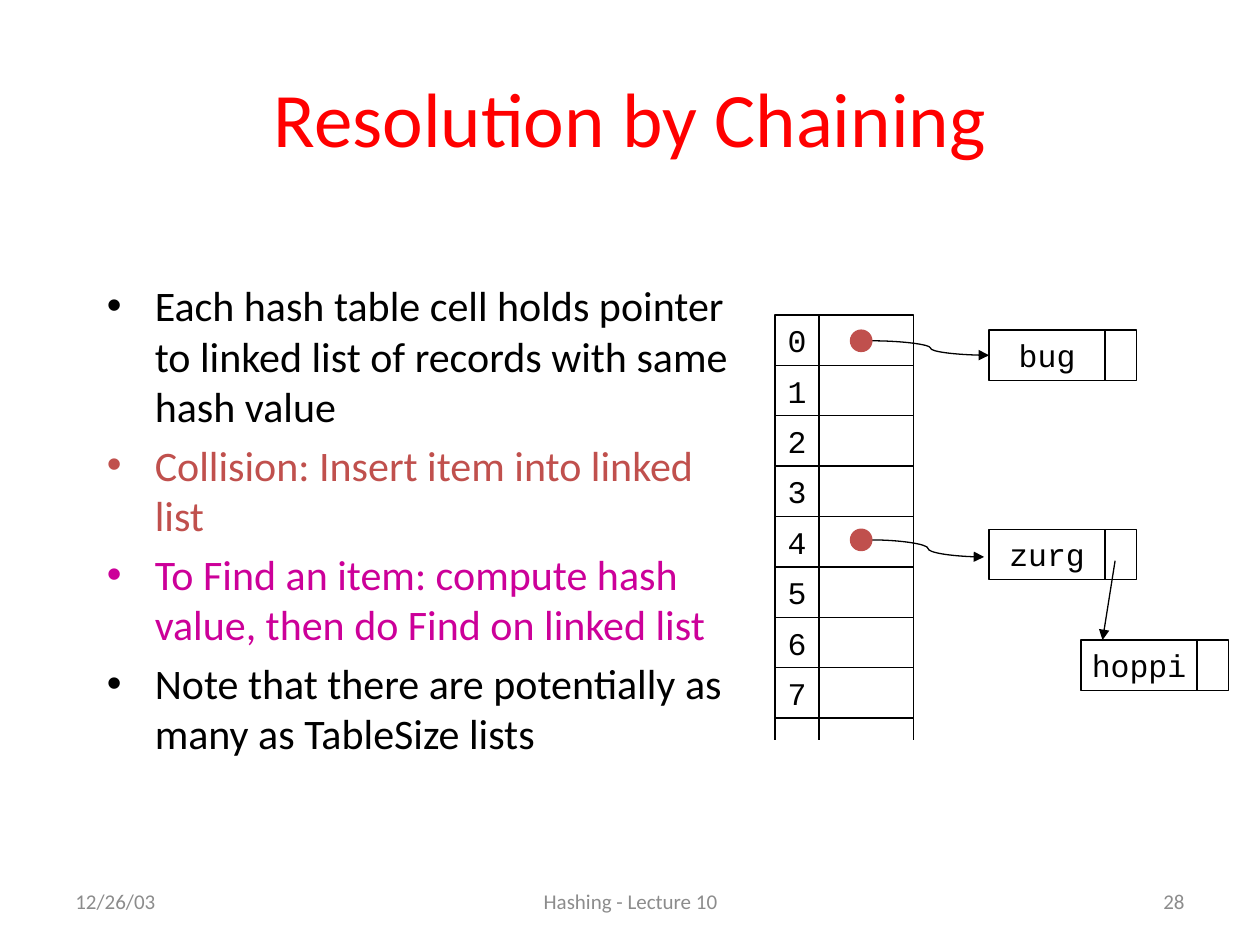
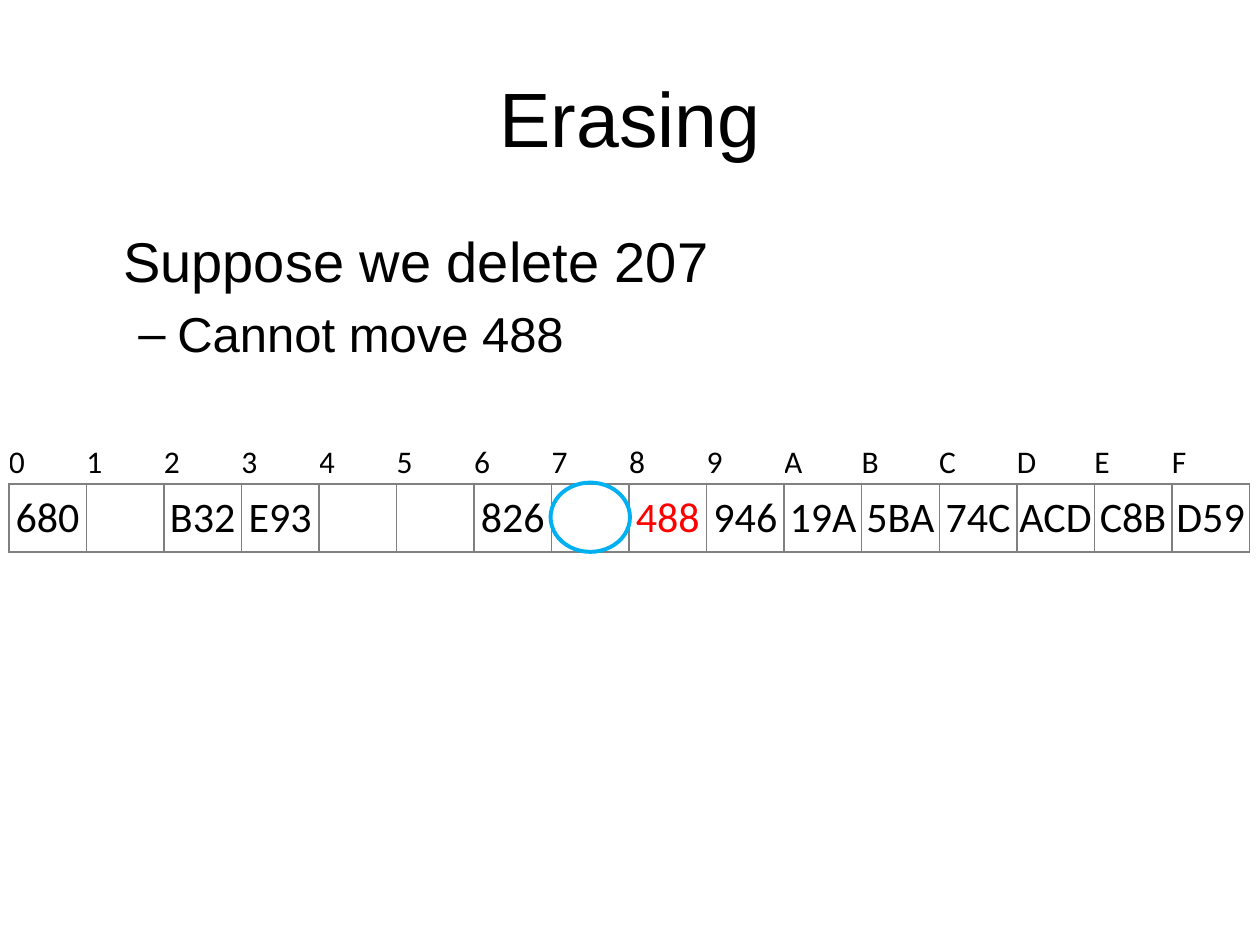
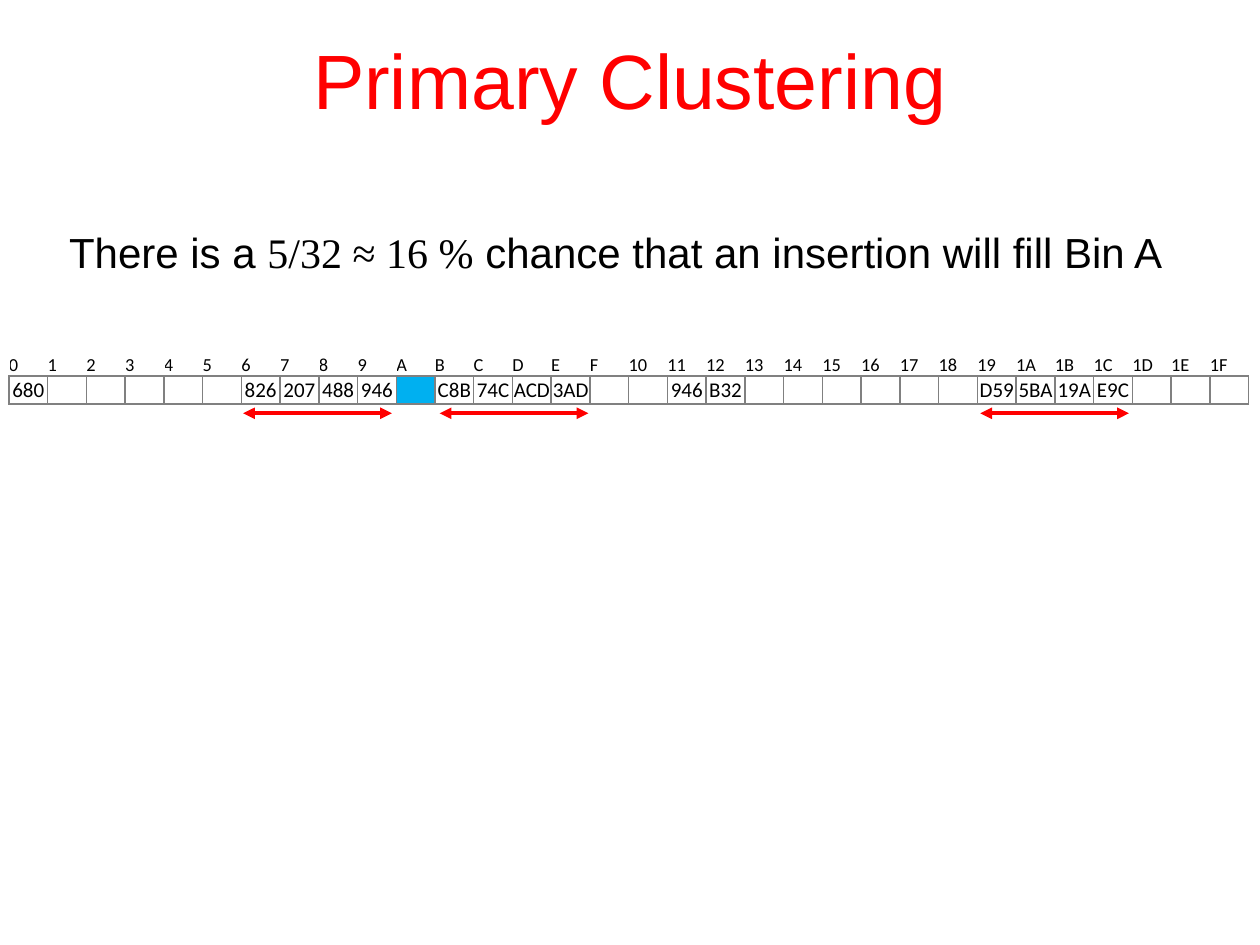
from lxml.etree import SubElement
from pptx import Presentation
from pptx.dml.color import RGBColor
from pptx.enum.shapes import MSO_CONNECTOR, MSO_SHAPE
from pptx.enum.text import MSO_ANCHOR, MSO_AUTO_SIZE, PP_ALIGN
from pptx.oxml.ns import qn
from pptx.util import Inches, Pt

COLORS = {
    "black": "000000",
    "red": "FF0000",
    "brick": "C0504D",
    "magenta": "CC0099",
    "cyan": "00B0F0",
    "border": "808080",
    "footer": "8C8C8C",
}
ALIGN = {"left": PP_ALIGN.LEFT, "center": PP_ALIGN.CENTER, "right": PP_ALIGN.RIGHT}
TITLE_ONLY = 5


def color(name):
    return RGBColor.from_string(COLORS[name])


def write(para, text, size=18, font="Calibri", ink="black", align="left",
          before=0, left=0, hanging=0, bullet=None):
    """Fill a paragraph; text is a string or a list of (words, font) spans."""
    props = para._p.get_or_add_pPr()
    props.set("marL", str(Inches(left)))
    props.set("indent", str(-Inches(hanging)))
    if bullet:
        SubElement(props, qn("a:buFont")).set("typeface", "Arial")
        SubElement(props, qn("a:buChar")).set("char", bullet)
    else:
        SubElement(props, qn("a:buNone"))
    para.alignment = ALIGN[align]
    para.space_before = Pt(before)
    spans = [(text, font)] if isinstance(text, str) else text
    for words, face in spans:
        if not words:  # keeps an empty table cell as low as its neighbours
            SubElement(para._p, qn("a:endParaRPr")).set("sz", str(int(size * 100)))
            continue
        span = para.add_run()
        span.text = words
        span.font.size = Pt(size)
        span.font.name = face
        span.font.color.rgb = color(ink)


class SlideBuilder:
    """Holds the shared style and the slide being built."""

    def __init__(self, deck):
        self.deck = deck
        self.page = None

    def new_page(self, title, top=0.3, **style):
        layout = self.deck.slide_layouts[TITLE_ONLY]
        self.page = self.deck.slides.add_slide(layout)
        box = self.page.shapes.title
        box.left, box.top = Inches(0.5), Inches(top)
        box.width, box.height = Inches(9), Inches(1.25)
        box.text_frame.auto_size = MSO_AUTO_SIZE.NONE
        box.text_frame.vertical_anchor = MSO_ANCHOR.MIDDLE
        write(box.text_frame.paragraphs[0], title, size=44, align="center", **style)

    def text(self, left, top, width, height, paragraphs, anchor=MSO_ANCHOR.TOP):
        """Each paragraph is a (text, format) pair."""
        box = self.page.shapes.add_textbox(
            Inches(left), Inches(top), Inches(width), Inches(height))
        frame = box.text_frame
        frame.word_wrap = True
        frame.vertical_anchor = anchor
        for index, (words, style) in enumerate(paragraphs):
            para = frame.add_paragraph() if index else frame.paragraphs[0]
            write(para, words, **style)

    def footer(self, date, caption, number):
        for left, width, words, align in [(0.5, 2.33, date, "left"),
                                          (3.42, 3.17, caption, "center"),
                                          (7.17, 2.33, number, "right")]:
            style = dict(size=12, ink="footer", align=align)
            self.text(left, 6.95, width, 0.4, [(words, style)], MSO_ANCHOR.MIDDLE)

    def shape(self, kind, left, top, width, height, label="",
              fill=None, line="black", weight=0.75):
        shape = self.page.shapes.add_shape(
            kind, Inches(left), Inches(top), Inches(width), Inches(height))
        shape.shadow.inherit = False
        if fill:
            shape.fill.solid()
            shape.fill.fore_color.rgb = color(fill)
        else:
            shape.fill.background()
        shape.line.color.rgb = color(line)
        shape.line.width = Pt(weight)
        if label:
            frame = shape.text_frame
            frame.word_wrap = False
            frame.vertical_anchor = MSO_ANCHOR.MIDDLE
            write(frame.paragraphs[0], label, font="Courier New", align="center")

    def line(self, start, end, kind=MSO_CONNECTOR.STRAIGHT, line="black",
             weight=0.75, heads=()):
        """heads names the arrow ends: headEnd at start, tailEnd at end."""
        connector = self.page.shapes.add_connector(
            kind, *(Inches(value) for value in (*start, *end)))
        connector.line.color.rgb = color(line)
        connector.line.width = Pt(weight)
        props = connector._element.spPr
        for head in heads:
            SubElement(props.find(qn("a:ln")), qn(f"a:{head}")).set("type", "triangle")
        SubElement(props, qn("a:effectLst"))

    def node(self, left, top, label):
        """A linked-list record: a value and its next pointer."""
        self.shape(MSO_SHAPE.RECTANGLE, left, top, 0.92, 0.4, label)
        self.shape(MSO_SHAPE.RECTANGLE, left + 0.92, top, 0.25, 0.4)

    def border(self, cell, sides):
        for side in sides:
            edge = SubElement(cell._tc.get_or_add_tcPr(), qn(f"a:ln{side}"), w=str(Pt(1)))
            fill = SubElement(edge, qn("a:solidFill"))
            SubElement(fill, qn("a:srgbClr")).set("val", COLORS["border"])

    def bins(self, top, count, heights, sizes, values, inks=None, fills=None):
        """A hash table row; values, inks and fills are keyed by bin number."""
        inks, fills = inks or {}, fills or {}
        width = 9.85
        table = self.page.shapes.add_table(
            2, count, Inches(0.07), Inches(top), Inches(width), Inches(sum(heights))).table
        table.first_row = table.horz_banding = False
        for row, height in zip(table.rows, heights):
            row.height = Inches(height)
        for number in range(count):
            table.columns[number].width = Inches(width / count)
            header, slot = table.cell(0, number), table.cell(1, number)
            for cell, sides in ((header, "B"), (slot, "LRTB")):
                cell.margin_left = cell.margin_right = 0
                cell.margin_top = cell.margin_bottom = 0
                cell.vertical_anchor = MSO_ANCHOR.MIDDLE
                self.border(cell, sides)
                cell.fill.background()
            if number in fills:
                slot.fill.solid()
                slot.fill.fore_color.rgb = color(fills[number])
            write(header.text_frame.paragraphs[0], f"{number:X}", size=sizes[0])
            write(slot.text_frame.paragraphs[0], values.get(number, ""),
                  size=sizes[1], align="center", ink=inks.get(number, "black"))


def chaining_slide(builder):
    builder.new_page("Resolution by Chaining", ink="red")
    builder.footer("12/26/03", "Hashing - Lecture 10", "28")
    points = [
        ("Each hash table cell holds pointer to linked list of records with same hash value",
         "black"),
        ("Collision: Insert item into linked list", "brick"),
        ("To Find an item: compute hash value, then do Find on linked list", "magenta"),
        ("Note that there are potentially as many as TableSize lists", "black"),
    ]
    builder.text(0.75, 2.17, 5.25, 4.42, [
        (words, dict(size=24, ink=ink, before=4.8 if index else 0,
                     left=0.38, hanging=0.38, bullet="•"))
        for index, (words, ink) in enumerate(points)])

    # Hash table with open lower edge
    for index in range(8):
        top = 2.5 + 0.4 * index
        builder.shape(MSO_SHAPE.RECTANGLE, 6.15, top, 0.35, 0.4, str(index))
        builder.shape(MSO_SHAPE.RECTANGLE, 6.5, top, 0.75, 0.4)
    for edge in (6.15, 6.5, 7.25):
        builder.line((edge, 5.7), (edge, 5.87))

    # Linked lists
    for left, top, label in [(7.85, 2.62, "bug"), (7.85, 4.2, "zurg"), (8.58, 5.08, "hoppi")]:
        builder.node(left, top, label)
    for top, end in [(2.62, (7.85, 2.82)), (4.2, (7.81, 4.42))]:
        builder.line((6.92, top + 0.085), end, MSO_CONNECTOR.CURVE, heads=["tailEnd"])
        builder.shape(MSO_SHAPE.OVAL, 6.75, top, 0.17, 0.17, fill="brick", line="brick")
    builder.line((8.85, 4.45), (8.75, 5.08), heads=["tailEnd"])


def erasing_slide(builder):
    builder.new_page("Erasing", font="Arial")
    builder.text(0.5, 1.75, 9, 1.5, [
        ("Suppose we delete 207", dict(size=32, font="Arial", left=0.38)),
        ("Cannot move 488", dict(size=28, font="Arial", before=5.6,
                                 left=0.81, hanging=0.31, bullet="–")),
    ])
    values = {0: "680", 2: "B32", 3: "E93", 6: "826", 8: "488", 9: "946", 10: "19A",
              11: "5BA", 12: "74C", 13: "ACD", 14: "C8B", 15: "D59"}
    builder.bins(3.51, 16, (0.33, 0.54), (18, 24), values, inks={8: "red"})
    # Ring around the erased bin
    builder.shape(MSO_SHAPE.OVAL, 4.37, 3.83, 0.63, 0.55, line="cyan", weight=2.25)


def clustering_slide(builder):
    builder.new_page("Primary Clustering", top=0, font="Arial", ink="red")
    sentence = [("There is a ", "Arial"), ("5/32 ≈ 16 %", "Times New Roman"),
                (" chance that an insertion will fill Bin A", "Arial")]
    builder.text(0.07, 1.75, 9.43, 0.6, [(sentence, dict(size=24, left=0.38))])
    values = {0: "680", 6: "826", 7: "207", 8: "488", 9: "946", 11: "C8B", 12: "74C",
              13: "ACD", 14: "3AD", 17: "946", 18: "B32", 25: "D59", 26: "5BA",
              27: "19A", 28: "E9C"}
    builder.bins(2.81, 32, (0.16, 0.22), (10.5, 12), values, fills={10: "cyan"})
    # Cluster spans
    for left in (1.93, 3.49, 7.78):
        builder.line((left + 1.18, 3.28), (left, 3.28), line="red", weight=2.25,
                     heads=["headEnd", "tailEnd"])


def main():
    deck = Presentation()
    deck.slide_width, deck.slide_height = Inches(10), Inches(7.5)
    builder = SlideBuilder(deck)
    chaining_slide(builder)
    erasing_slide(builder)
    clustering_slide(builder)
    deck.save("out.pptx")


if __name__ == "__main__":
    main()
